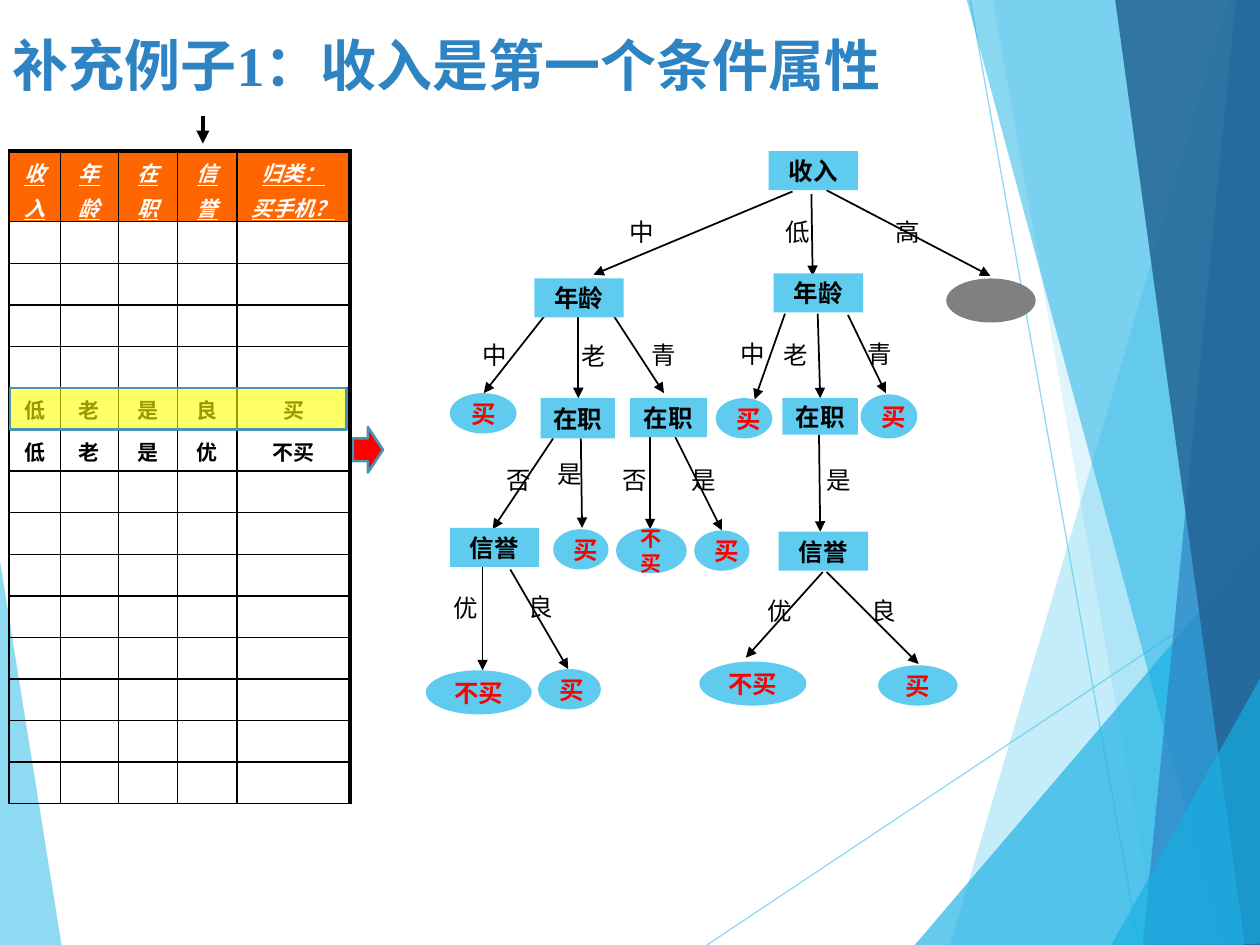
from lxml import etree
from pptx import Presentation
from pptx.dml.color import RGBColor
from pptx.enum.shapes import MSO_CONNECTOR, MSO_SHAPE
from pptx.enum.text import MSO_ANCHOR, MSO_AUTO_SIZE, PP_ALIGN
from pptx.oxml.ns import qn
from pptx.util import Inches, Pt

STRAIGHT = MSO_CONNECTOR.STRAIGHT
RECTANGLE, OVAL, RIGHT_ARROW = MSO_SHAPE.RECTANGLE, MSO_SHAPE.OVAL, MSO_SHAPE.RIGHT_ARROW
TOP, MIDDLE = MSO_ANCHOR.TOP, MSO_ANCHOR.MIDDLE
LEFT, CENTER = PP_ALIGN.LEFT, PP_ALIGN.CENTER
GROW = MSO_AUTO_SIZE.SHAPE_TO_FIT_TEXT

SERIF, SANS, BODY = "Times New Roman", "Lato", "Arial"
SKY, CYAN, BLUE, NAVY, TEAL = "5FCBEF", "17B0E4", "2E83C3", "226292", "4696B1"
BLACK, WHITE, RED, ORANGE, YELLOW, GRAY = "000000", "FFFFFF", "FF0000", "FF6600", "FFFF00", "808080"

FACETS = [
    (SKY, 70, [(-0.01, 4.39), (0.49, 7.51), (-0.01, 7.5)]),
    (SKY, 36, [(9.75, 0), (7.54, 7.5), (10.02, 7.51), (10.01, 0.01)]),
    (SKY, 20, [(7.88, -0.01), (9.19, 7.5), (10.01, 7.5), (10.01, -0.01)]),
    (CYAN, 66, [(7.26, 7.5), (10, 4.29), (10.01, 7.5)]),
    (CYAN, 50, [(7.67, -0.01), (9.7, 7.5), (10.01, 7.49), (10.01, -0.01)]),
    (BLUE, 70, [(9.81, -0.01), (9.07, 7.5), (10.01, 7.5), (10, -0.01)]),
    (NAVY, 82, [(8.85, -0.01), (9.88, 7.5), (10.02, 7.5), (10, -0.01)]),
    (CYAN, 66, [(8.82, 7.5), (10.02, 5.35), (10.02, 7.49)]),
]
RAYS = [(5.61, 7.5, 10.01, 4.57), (7.7, 0, 9.04, 7.5)]

HEADERS = ["收\n入", "年\n龄", "在\n职", "信\n誉", "归类：\n买手机？"]
RECORDS = {5: "低 老 是 良 买".split(), 6: "低 老 是 优 不买".split()}
COLUMN_WIDTHS = [0.41, 0.46, 0.47, 0.47, 0.9]
ROW_COUNT = 15

BRANCHES = [
    (2.91, 0.32, 1.33, 0.98, "中", 1.4, 0.47, 0.63),
    (3.06, 0.34, 3.07, 0.99, "低", 2.64, 0.47, 0.63),
    (3.18, 0.31, 4.48, 0.99, "高", 3.51, 0.47, 0.63),
    (0.94, 1.31, 0.46, 1.92, "中", 0.23, 1.45, 0.63),
    (1.21, 1.32, 1.21, 1.96, "老", 1.02, 1.46, 0.63),
    (1.48, 1.29, 1.89, 1.92, "青", 1.57, 1.45, 0.63),
    (2.85, 1.29, 2.61, 1.97, "中", 2.28, 1.44, 0.63),
    (3.11, 1.29, 3.13, 1.96, "老", 2.62, 1.45, 0.63),
    (3.35, 1.3, 3.65, 1.92, "青", 3.29, 1.44, 0.63),
    (1.01, 2.28, 0.53, 3, "否", 0.49, 2.44, 0.5),
    (1.23, 2.28, 1.24, 2.99, "是", 0.83, 2.39, 0.63),
    (1.78, 2.27, 1.78, 3, "否", 1.46, 2.44, 0.39),
    (1.98, 2.27, 2.35, 3.01, "是", 2.01, 2.44, 0.38),
    (3.12, 2.25, 3.13, 3.02, "是", 2.96, 2.44, 0.63),
    (0.45, 3.3, 0.45, 4.12, "优", 0, 3.46, 0.63),
    (0.67, 3.32, 1.13, 4.11, "良", 0.6, 3.45, 0.63),
    (3.15, 3.34, 2.54, 4.02, "优", 2.49, 3.48, 0.63),
    (3.18, 3.34, 3.91, 4.07, "良", 3.35, 3.48, 0.57),
]
TESTS = [
    ("收入", 2.72, 0, 0.71, 0.31), ("年龄", 0.86, 1.01, 0.71, 0.31),
    ("年龄", 2.76, 0.97, 0.71, 0.31), ("在职", 0.91, 1.96, 0.59, 0.32),
    ("在职", 1.62, 1.96, 0.61, 0.31), ("在职", 2.83, 1.96, 0.6, 0.29),
    ("信誉", 0.19, 2.99, 0.71, 0.31), ("信誉", 2.8, 3.02, 0.71, 0.31),
]
LEAVES = [
    ("买", 0.19, 1.92, 0.53, 0.32, 14), ("买", 2.3, 1.96, 0.45, 0.32, 14),
    ("买", 3.45, 1.93, 0.45, 0.35, 14), ("买", 1.01, 3, 0.44, 0.32, 14),
    ("不买", 1.51, 2.99, 0.56, 0.36, 12), ("买", 2.13, 3.01, 0.44, 0.32, 14),
    ("不买", 0, 4.12, 0.84, 0.35, 14), ("买", 0.89, 4.11, 0.5, 0.32, 14),
    ("不买", 2.17, 4.05, 0.85, 0.35, 14), ("买", 3.59, 4.08, 0.63, 0.32, 14),
]


def paint(color_format, color, alpha=100):
    color_format.rgb = RGBColor.from_string(color)
    if alpha < 100:
        for node in color_format._xFill.iter(qn("a:srgbClr")):
            etree.SubElement(node, qn("a:alpha"), val=str(alpha * 1000))


def fill_shape(shape, color, alpha=100, outline=None):
    shape.shadow.inherit = False
    shape.fill.solid()
    paint(shape.fill.fore_color, color, alpha)
    if outline:
        paint(shape.line.color, outline)
        shape.line.width = Pt(1.5)
    else:
        shape.line.fill.background()


def add_block(page, kind, left, top, width, height, color, alpha=100, outline=None):
    block = page.shapes.add_shape(kind, Inches(left), Inches(top), Inches(width), Inches(height))
    fill_shape(block, color, alpha, outline)
    return block


def add_line(page, x1, y1, x2, y2, color, width, alpha=100, arrow=False):
    line = page.shapes.add_connector(STRAIGHT, Inches(x1), Inches(y1), Inches(x2), Inches(y2))
    line.line.width = Pt(width)
    paint(line.line.color, color, alpha)
    properties = line._element.spPr
    if arrow:
        etree.SubElement(properties.find(qn("a:ln")), qn("a:tailEnd"), type="triangle")
    etree.SubElement(properties, qn("a:effectLst"))


def write(frame, text, font, size, color, bold=False, align=CENTER, slanted=False):
    frame.word_wrap = True
    for index, line in enumerate(text.split("\n")):
        para = frame.add_paragraph() if index else frame.paragraphs[0]
        para.text = line
        para.alignment = align
        if index:
            para.space_before = Pt(2.4)
        para.font.name, para.font.size, para.font.bold = font, Pt(size), bold
        para.font.italic = para.font.underline = slanted
        paint(para.font.color, color)


def add_text(page, left, top, width, height, text, *style):
    box = page.shapes.add_textbox(Inches(left), Inches(top), Inches(width), Inches(height))
    write(box.text_frame, text, *style)
    box.text_frame.vertical_anchor = TOP
    return box


def draw_backdrop(page, left, top):
    for ray in RAYS:
        x1, y1, x2, y2 = ray
        add_line(page, left + x1, top + y1, left + x2, top + y2, SKY, 0.75, 70)
    for color, alpha, corners in FACETS:
        points = [(Inches(left + x), Inches(top + y)) for x, y in corners]
        builder = page.shapes.build_freeform(*points[0])
        builder.add_line_segments(points[1:])
        fill_shape(builder.convert_to_shape(), color, alpha)


def set_borders(cell, **widths):
    properties = cell._tc.get_or_add_tcPr()
    for position, side in enumerate("LRTB"):
        edge = etree.Element(qn(f"a:ln{side}"), w=str(Pt(widths.get(side, 1))))
        solid = etree.SubElement(edge, qn("a:solidFill"))
        etree.SubElement(solid, qn("a:srgbClr"), val=BLACK)
        properties.insert(position, edge)


def draw_records(page, left, top, width, height):
    add_block(page, RIGHT_ARROW, left + 2.73, top + 2.19, 0.24, 0.36, RED, outline=TEAL)
    add_line(page, left + 1.54, top - 0.28, left + 1.54, top - 0.06, BLACK, 2.5, arrow=True)
    frame = page.shapes.add_table(ROW_COUNT, len(HEADERS), Inches(left), Inches(top),
                                  Inches(width), Inches(height))
    table = frame.table
    table.first_row = table.horz_banding = False
    for column, column_width in zip(table.columns, COLUMN_WIDTHS):
        column.width = Inches(column_width)
    for index, row in enumerate(table.rows):
        header = index == 0
        row.height = Inches(0.56 if header else 0.33)
        texts = HEADERS if header else RECORDS.get(index, [""] * len(HEADERS))
        for number, (cell, text) in enumerate(zip(row.cells, texts)):
            if header:
                cell.fill.solid()
                paint(cell.fill.fore_color, ORANGE)
                write(cell.text_frame, text, SERIF, 12, WHITE, True, CENTER, True)
            else:
                cell.fill.background()
                write(cell.text_frame, text, BODY, 12, BLACK, True)
            last = number == len(HEADERS) - 1
            set_borders(cell, T=2.25 if header else 1, R=2.25 if last else 1)
    add_block(page, RECTANGLE, left + 0.01, top + 1.88, 2.67, 0.33, YELLOW, 60, TEAL)


def draw_tree(page, left, top):
    for x1, y1, x2, y2, text, x, y, width in BRANCHES:
        add_line(page, left + x1, top + y1, left + x2, top + y2, BLACK, 1, arrow=True)
        label = add_text(page, left + x, top + y, width, 0.34, text, SERIF, 14, BLACK)
        label.text_frame.auto_size = GROW
    nodes = [(RECTANGLE, BLACK, *test, 14) for test in TESTS]
    nodes += [(OVAL, RED, *leaf) for leaf in LEAVES]
    for kind, color, text, x, y, width, height, size in nodes:
        node = add_block(page, kind, left + x, top + y, width, height, SKY)
        write(node.text_frame, text, SANS, size, color, True)
        node.text_frame.vertical_anchor = MIDDLE
    add_block(page, OVAL, left + 4.13, top + 1.01, 0.71, 0.35, GRAY)


def main():
    deck = Presentation()
    deck.slide_width, deck.slide_height = Inches(10), Inches(7.5)
    page = deck.slides.add_slide(deck.slide_layouts[6])
    draw_backdrop(page, 0, 0)
    add_text(page, 0, 0.19, 8.6, 0.53, "补充例子1：收入是第一个条件属性", SERIF, 32, BLUE, True, LEFT)
    draw_records(page, 0.07, 1.2, 2.71, 5.16)
    draw_tree(page, 3.38, 1.2)
    deck.save("out.pptx")


if __name__ == "__main__":
    main()
